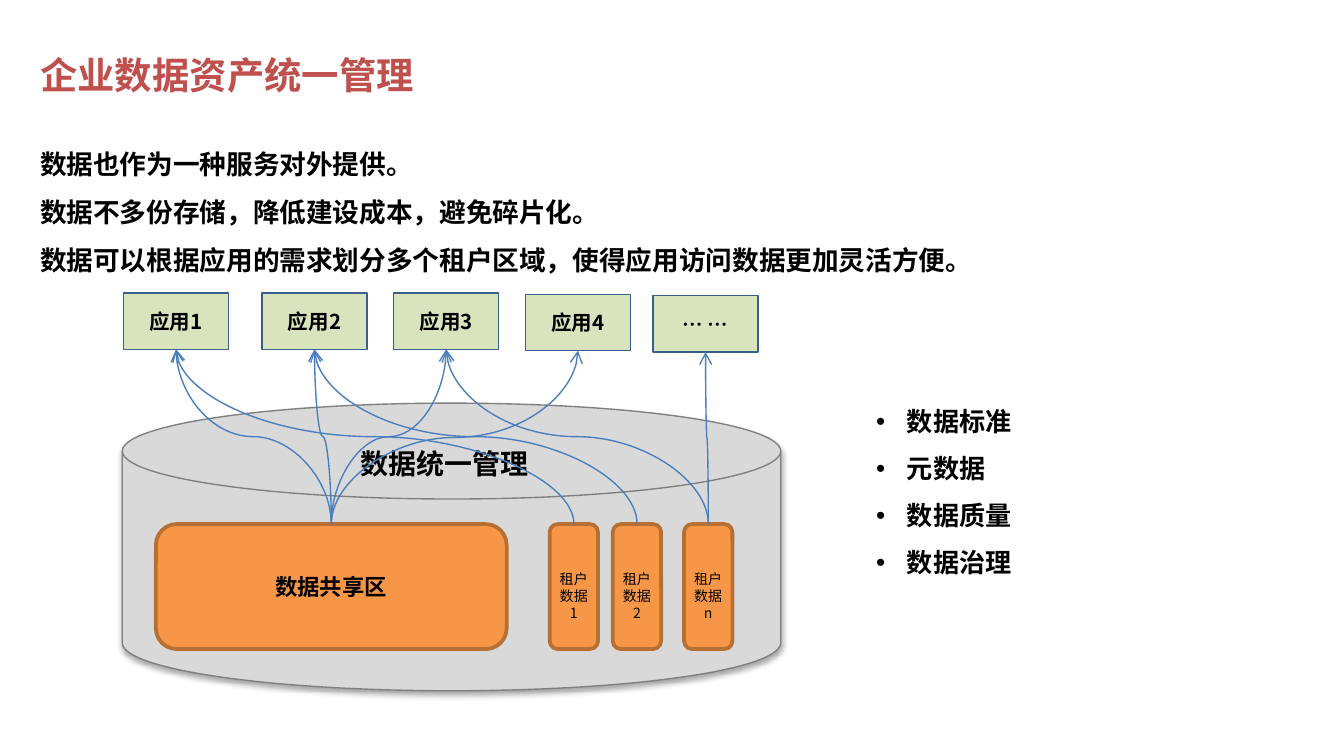
from lxml.etree import SubElement
from pptx import Presentation
from pptx.dml.color import RGBColor
from pptx.enum.shapes import MSO_CONNECTOR, MSO_SHAPE
from pptx.enum.text import MSO_ANCHOR, PP_ALIGN
from pptx.oxml.ns import qn
from pptx.util import Inches, Pt

FONT = "Noto Sans CJK SC"
COLS, ROWS = 100, 56.25
CELL = Inches(0.1)


def grid(*cells):
    """Turn grid columns and rows into slide lengths."""
    return [round(n * CELL) for n in cells]


def rgb(value):
    """Make a colour from a hex string."""
    return RGBColor.from_string(value)


def add_xml(parent, tag, **attrs):
    """Append a DrawingML element and return it."""
    return SubElement(parent, qn(tag), {k: str(v) for k, v in attrs.items()})


def write(sp, lines, size, color="000000", bold=True, align=None,
          spacing=None, anchor=MSO_ANCHOR.TOP, insets=None, bullet=None):
    """Fill a shape with one paragraph per line."""
    tf = sp.text_frame
    tf.word_wrap = True
    tf.vertical_anchor = anchor
    if insets:
        (tf.margin_left, tf.margin_top,
         tf.margin_right, tf.margin_bottom) = map(Inches, insets)
    for i, line in enumerate(lines):
        p = tf.add_paragraph() if i else tf.paragraphs[0]
        p.alignment = align
        if spacing:
            p.line_spacing = spacing
        if bullet:
            pPr = p._p.get_or_add_pPr()
            pPr.set("marL", str(Inches(0.23)))
            pPr.set("indent", str(-Inches(0.23)))
            add_xml(pPr, "a:buFont", typeface="Arial")
            add_xml(pPr, "a:buChar", char=bullet)
        r = p.add_run()
        r.text = line
        r.font.name = FONT
        r.font.size = Pt(size)
        r.font.bold = bold
        r.font.color.rgb = rgb(color)
        add_xml(r._r.get_or_add_rPr(), "a:ea", typeface=FONT)


def add_text(s, box, lines, size, **style):
    """Place a text box on the grid."""
    write(s.shapes.add_textbox(*grid(*box)), lines, size, **style)


def add_box(s, kind, box, fill, line, width):
    """Place a filled and outlined shape on the grid."""
    sp = s.shapes.add_shape(kind, *grid(*box))
    sp.shadow.inherit = False
    sp.fill.solid()
    sp.fill.fore_color.rgb = rgb(fill)
    sp.line.color.rgb = rgb(line)
    sp.line.width = Pt(width)
    return sp


def add_store(s, box):
    """Draw the data cylinder and return its shared area and tenant areas."""
    col, row, cols, rows = box
    disk = add_box(s, MSO_SHAPE.FLOWCHART_MAGNETIC_DISK, box,
                   "D9D9D9", "808080", 0.75)
    effects = disk._element.spPr.find(qn("a:effectLst"))
    shadow = add_xml(effects, "a:outerShdw", blurRad=Pt(3.1), dist=Pt(1.8),
                     dir=5400000, rotWithShape=0)
    add_xml(add_xml(shadow, "a:srgbClr", val="000000"), "a:alpha", val=35000)
    add_text(s, (col + 11.4, row + 2.5, 25.1, 3.8), ["数据统一管理"], 15,
             align=PP_ALIGN.CENTER, spacing=1.1)

    def area(x, w, label, size, bold, top):
        """Draw one storage area inside the cylinder."""
        sp = add_box(s, MSO_SHAPE.ROUNDED_RECTANGLE,
                     (col + x, row + 9, w, 9.3), "F79646", "B76F34", 2)
        write(sp, [label], size, bold=bold, align=PP_ALIGN.CENTER,
              anchor=MSO_ANCHOR.MIDDLE, insets=(0.04, top, 0.04, 0))
        return sp

    tenants = [area(x, 3.6, f"租户数据{n}", 7.5, False, 0.14)
               for x, n in ((31.8, 1), (36.5, 2), (41.8, "n"))]
    return area(2.5, 26.1, "数据共享区", 12, True, 0), tenants


def add_apps(s, box):
    """Draw the row of applications and return its boxes."""
    col, row, cols, rows = box
    apps = []
    for x, y, label in ((0, 0, "应用1"), (10.3, 0, "应用2"), (20.1, 0, "应用3"),
                        (29.9, 0.1, "应用4"), (39.4, 0.2, "… …")):
        sp = add_box(s, MSO_SHAPE.RECTANGLE, (col + x, row + y, 7.8, rows),
                     "D7E4BD", "3A5F8C", 0.75)
        write(sp, [label], 11, align=PP_ALIGN.CENTER, anchor=MSO_ANCHOR.MIDDLE,
              insets=(0.07, 0.04, 0.07, 0.04))
        apps.append(sp)
    return apps


def add_flow(s, area, app):
    """Draw a curved arrow from the top of an area to the foot of an app."""
    x1, y1 = area.left + area.width // 2, area.top
    x2, y2 = app.left + app.width // 2, app.top + app.height
    c = s.shapes.add_connector(MSO_CONNECTOR.CURVE, x1, y1, x2, y2)
    c.begin_connect(area, 0)
    c.end_connect(app, 2)
    rise, run = y1 - y2, abs(x2 - x1)
    c.left, c.top = (x1 + x2 - rise) // 2, (y1 + y2 - run) // 2
    c.width, c.height = rise, run
    rightward = x2 > x1
    xfrm = c._element.spPr.find(qn("a:xfrm"))
    xfrm.set("rot", str((90 if rightward else 270) * 60000))
    xfrm.set("flipH", "1" if rightward else "0")
    xfrm.set("flipV", "1")
    c.line.color.rgb = rgb("4B7EBC")
    c.line.width = Pt(0.75)
    add_xml(c.line._get_or_add_ln(), "a:tailEnd", type="arrow")
    add_xml(c._element.spPr, "a:effectLst")


def add_diagram(s, box):
    """Draw applications above the data store and join them."""
    col, row, cols, rows = box
    shared, tenants = add_store(s, (col, row + 8.2, cols, 21.4))
    apps = add_apps(s, (col + 0.1, row, cols, 4.2))
    flows = [(tenants[0], 0), (shared, 0), (shared, 3), (tenants[1], 1),
             (tenants[2], 2), (shared, 1), (shared, 2), (tenants[2], 4)]
    for area, i in flows:
        add_flow(s, area, apps[i])


def main():
    """Build and save the slide."""
    prs = Presentation()
    prs.slide_width, prs.slide_height = grid(COLS, ROWS)
    s = prs.slides.add_slide(prs.slide_layouts[6])
    add_text(s, (2, 1.8, 96.5, 5.9), ["企业数据资产统一管理"], 20,
             color="C0504D", anchor=MSO_ANCHOR.BOTTOM)
    add_diagram(s, (9.1, 21.8, 49, 29.6))
    add_text(s, (2, 9.3, 86.6, 11.8),
             ["数据也作为一种服务对外提供。",
              "数据不多份存储，降低建设成本，避免碎片化。",
              "数据可以根据应用的需求划分多个租户区域，使得应用访问数据更加灵活方便。"],
             14.25, spacing=1.5)
    add_text(s, (64.2, 28.5, 16.5, 15.1),
             ["数据标准", "元数据", "数据质量", "数据治理"], 14,
             spacing=1.5, bullet="•")
    prs.save("out.pptx")


if __name__ == "__main__":
    main()
